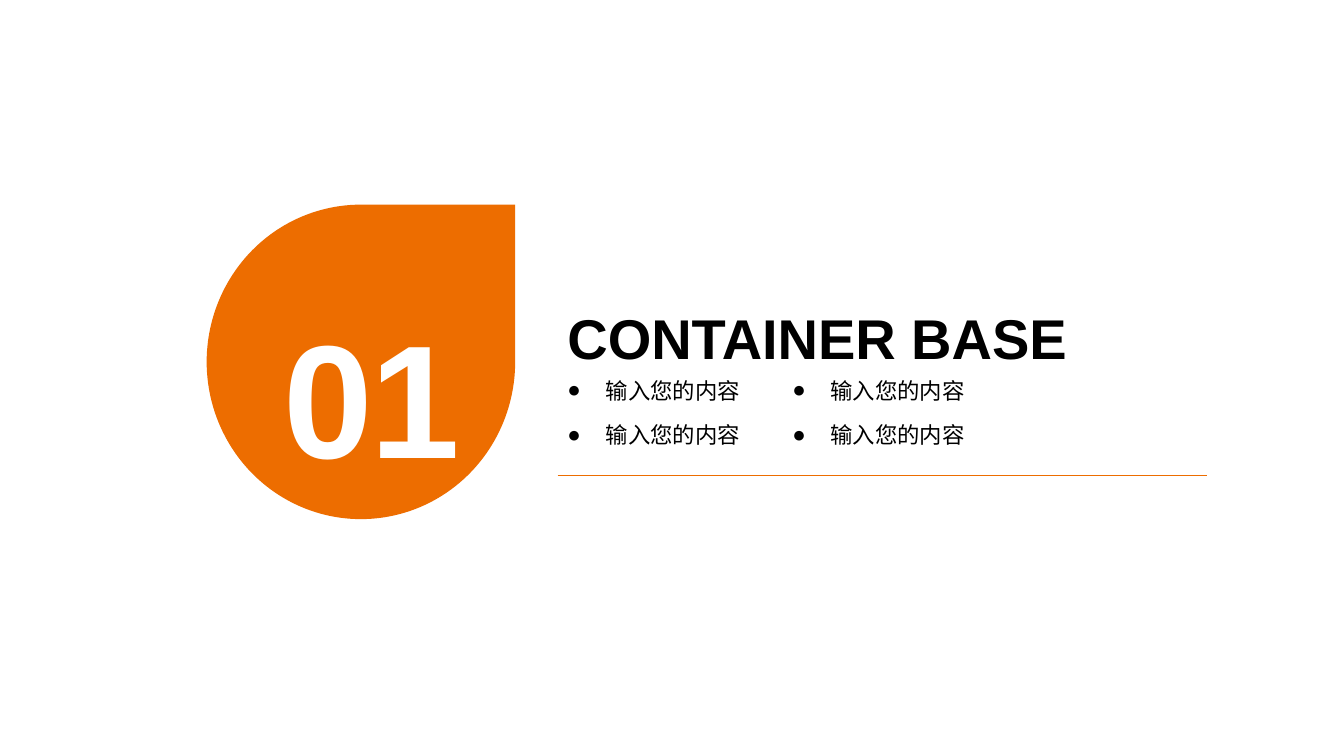
"""Build a section-opening slide with a numbered teardrop, a title and four bullets."""
from dataclasses import dataclass

import lxml.etree
import pptx
import pptx.dml.color
import pptx.enum.shapes
import pptx.enum.text
import pptx.oxml.ns
import pptx.slide
import pptx.util
from pptx.util import Inches

ORANGE = "ED6D00"
BLACK = "000000"
WHITE = "FFFFFF"
CONTENT_LEFT = 5.53
CONTENT_WIDTH = 6.44
RULE_TOP = 4.72
BULLET_TOP = 3.61
COLUMN_STEP = 2.23
ROW_STEP = 0.44
BULLET_INDENT = 0.38


@dataclass(frozen=True)
class Label:
    text: str
    left: float
    top: float
    width: float
    height: float
    size: float
    color: str = BLACK
    font: str = "Arial"
    bold: bool = False
    centered: bool = False
    bullet: str = ""
    spacing: float = 0


def rgb(color: str) -> pptx.dml.color.RGBColor:
    return pptx.dml.color.RGBColor.from_string(color)


def add_element(
    parent: lxml.etree.ElementBase, tag: str, **attributes: str
) -> lxml.etree.ElementBase:
    return lxml.etree.SubElement(parent, pptx.oxml.ns.qn(tag), attributes)


def add_label(slide: pptx.slide.Slide, label: Label) -> None:
    box = slide.shapes.add_textbox(
        Inches(label.left), Inches(label.top), Inches(label.width), Inches(label.height)
    )
    frame = box.text_frame
    frame.word_wrap = True
    frame.auto_size = pptx.enum.text.MSO_AUTO_SIZE.SHAPE_TO_FIT_TEXT
    paragraph = frame.paragraphs[0]
    paragraph.line_spacing = 1.3
    if label.centered:
        paragraph.alignment = pptx.enum.text.PP_ALIGN.CENTER
    if label.bullet:
        properties = paragraph._p.get_or_add_pPr()
        properties.set("marL", str(Inches(BULLET_INDENT)))
        properties.set("indent", str(-Inches(BULLET_INDENT)))
        bullet_color = add_element(properties, "a:buClr")
        add_element(bullet_color, "a:srgbClr", val=label.color)
        add_element(properties, "a:buFont", typeface="Arial")
        add_element(properties, "a:buChar", char=label.bullet)
    run = paragraph.add_run()
    run.text = label.text
    run.font.name = label.font
    run.font.size = pptx.util.Pt(label.size)
    run.font.bold = label.bold
    run.font.color.rgb = rgb(label.color)
    run_properties = run._r.get_or_add_rPr()
    add_element(run_properties, "a:ea", typeface=label.font)
    if label.spacing:
        run_properties.set("spc", str(round(label.spacing * 100)))


def add_teardrop(slide: pptx.slide.Slide) -> None:
    teardrop = slide.shapes.add_shape(
        pptx.enum.shapes.MSO_SHAPE.TEAR,
        Inches(2.05), Inches(2.03), Inches(3.06), Inches(3.12),
    )
    teardrop.shadow.inherit = False
    teardrop.fill.solid()
    teardrop.fill.fore_color.rgb = rgb(ORANGE)
    teardrop.line.fill.background()


def add_rule(slide: pptx.slide.Slide) -> None:
    rule = slide.shapes.add_connector(
        pptx.enum.shapes.MSO_CONNECTOR.STRAIGHT,
        Inches(CONTENT_LEFT), Inches(RULE_TOP),
        Inches(CONTENT_LEFT + CONTENT_WIDTH), Inches(RULE_TOP),
    )
    rule.line.color.rgb = rgb(ORANGE)
    rule.line.width = pptx.util.Pt(0.75)
    add_element(rule._element.spPr, "a:effectLst")


def main() -> None:
    presentation = pptx.Presentation()
    presentation.slide_width = Inches(13.33)
    presentation.slide_height = Inches(7.5)
    slide = presentation.slides.add_slide(presentation.slide_layouts[6])

    title = Label("CONTAINER BASE", CONTENT_LEFT, 2.76, CONTENT_WIDTH, 0.89, 40, bold=True)
    bullets = [
        Label(
            "输入您的内容",
            CONTENT_LEFT + column * COLUMN_STEP,
            BULLET_TOP + row * ROW_STEP,
            2.53, 0.42, 16, font="Noto Sans CJK SC", bullet="●",
        )
        for column in range(2)
        for row in range(2)
    ]
    number = Label(
        "01", 2.32, 2.33, 2.74, 2.36, 115, WHITE, bold=True, centered=True, spacing=-1.5
    )

    for label in [title, *bullets]:
        add_label(slide, label)
    add_teardrop(slide)
    add_label(slide, number)
    add_rule(slide)
    presentation.save("out.pptx")


if __name__ == "__main__":
    main()
